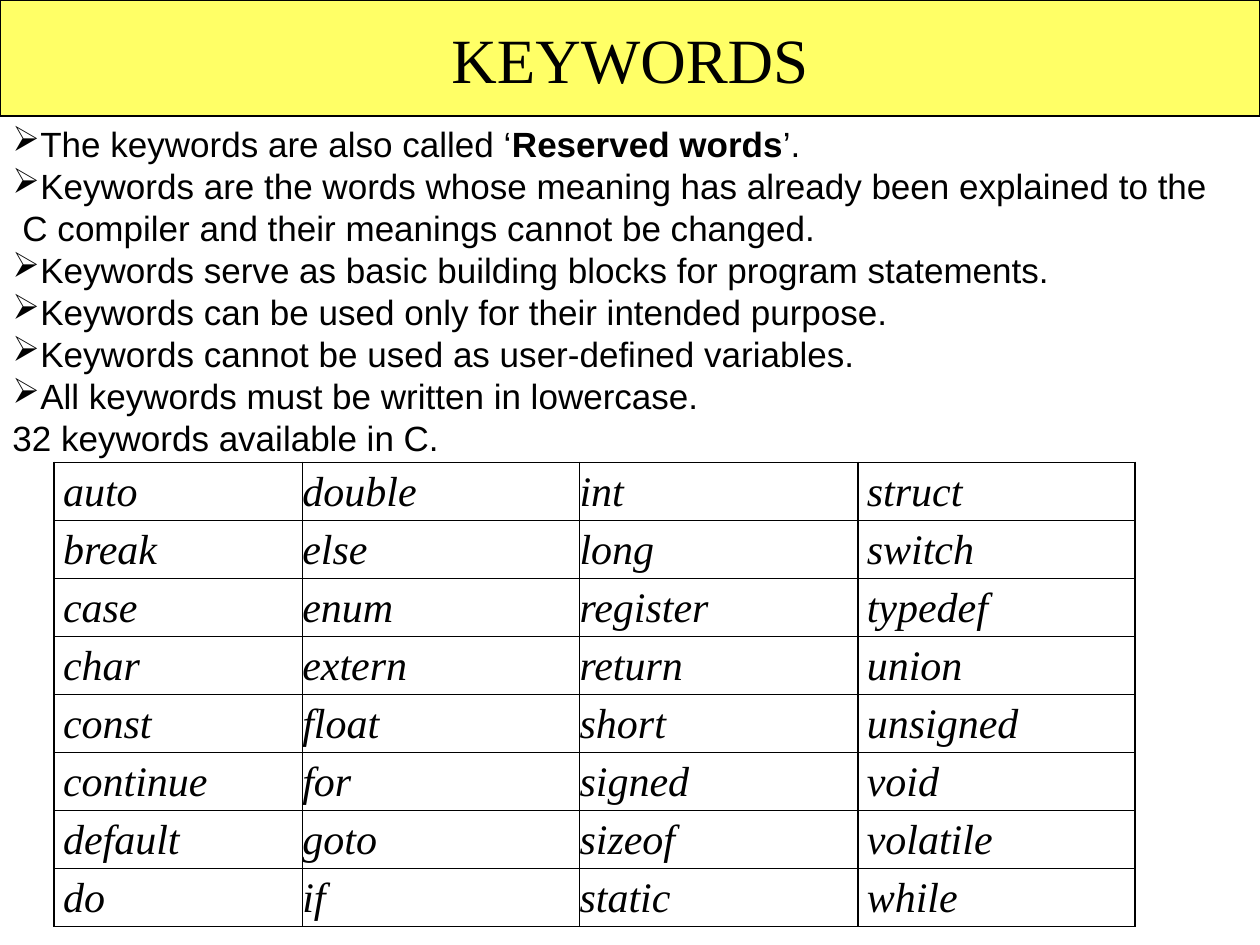
from lxml import etree
from pptx import Presentation
from pptx.dml.color import RGBColor
from pptx.enum.shapes import MSO_SHAPE
from pptx.enum.text import MSO_ANCHOR, MSO_AUTO_SIZE, PP_ALIGN
from pptx.oxml.ns import qn
from pptx.util import Inches, Pt

RECTANGLE = MSO_SHAPE.RECTANGLE
MIDDLE = MSO_ANCHOR.MIDDLE
FIT_SHAPE = MSO_AUTO_SIZE.SHAPE_TO_FIT_TEXT
CENTER = PP_ALIGN.CENTER
BLACK = RGBColor(0x00, 0x00, 0x00)
YELLOW = RGBColor(0xFF, 0xFF, 0x66)

TITLE_FORMAT = {"name": "Times New Roman", "size": Pt(36)}
BODY_FORMAT = {"name": "Arial", "size": Pt(20)}
CELL_FORMAT = {"name": "Times New Roman", "size": Pt(24), "italic": True}
NO_MARGINS = {f"margin_{side}": 0 for side in ("left", "right", "top", "bottom")}

BULLET = "➢"
STATEMENTS = [
    (BULLET, 0, ["The keywords are also called ‘", "Reserved words", "’."]),
    (BULLET, 0, ["Keywords are the words whose meaning has already been explained to the"]),
    (None, 0.08, ["C compiler and their meanings cannot be changed."]),
    (BULLET, 0, ["Keywords serve as basic building blocks for program statements."]),
    (BULLET, 0, ["Keywords can be used only for their intended purpose."]),
    (BULLET, 0, ["Keywords cannot be used as user-defined variables."]),
    (BULLET, 0, ["All keywords must be written in lowercase."]),
    (None, 0, ["32 keywords available in C."]),
]
KEYWORD_COLUMNS = [
    "auto break case char const continue default do".split(),
    "double else enum extern float for goto if".split(),
    "int long register return short signed sizeof static".split(),
    "struct switch typedef union unsigned void volatile while".split(),
]
COLUMN_WIDTHS = [1.97, 2.2, 2.21, 2.2]
COLUMN_INDENTS = [0.07, 0, 0, 0.07]


def apply_format(target, values):
    """Set every attribute in values on the target."""
    for name, value in values.items():
        setattr(target, name, value)


def add_span(para, text, values, bold=False):
    """Add a black run of text to a paragraph."""
    span = para.add_run()
    span.text = text
    apply_format(span.font, {**values, "bold": bold})
    span.font.color.rgb = BLACK


def set_indent(para, indent, bullet=None):
    """Set the left indent and the optional bullet of a paragraph."""
    properties = para._p.get_or_add_pPr()
    properties.set("marL", str(Inches(indent)))
    properties.set("indent", "0")
    if bullet:
        etree.SubElement(properties, qn("a:buChar"), char=bullet)
    else:
        etree.SubElement(properties, qn("a:buNone"))


def set_borders(cell):
    """Draw a thin black line on each side of a cell."""
    properties = cell._tc.get_or_add_tcPr()
    for side in ("lnL", "lnR", "lnT", "lnB"):
        line = etree.SubElement(properties, qn(f"a:{side}"), w=str(Pt(1)))
        fill = etree.SubElement(line, qn("a:solidFill"))
        etree.SubElement(fill, qn("a:srgbClr"), val=str(BLACK))


def add_title(page, left, top, width, height):
    """Add the yellow title band."""
    band = page.shapes.add_shape(RECTANGLE, left, top, width, height)
    band.shadow.inherit = False
    band.fill.solid()
    band.fill.fore_color.rgb = YELLOW
    band.line.color.rgb = BLACK
    band.line.width = Pt(0.75)
    apply_format(band.text_frame, {"word_wrap": False, "vertical_anchor": MIDDLE})
    para = band.text_frame.paragraphs[0]
    para.alignment = CENTER
    add_span(para, "KEYWORDS", TITLE_FORMAT)


def add_statements(page, left, top, width, height):
    """Add the list of statements about keywords."""
    box = page.shapes.add_textbox(left, top, width, height)
    frame = box.text_frame
    apply_format(frame, {"word_wrap": True, "auto_size": FIT_SHAPE})
    for index, (bullet, indent, parts) in enumerate(STATEMENTS):
        para = frame.add_paragraph() if index else frame.paragraphs[0]
        set_indent(para, indent, bullet)
        for position, text in enumerate(parts):
            add_span(para, text, BODY_FORMAT, bold=position == 1)


def add_keyword_table(page, left, top, width, height):
    """Add the table of keywords, filled column by column."""
    rows = len(KEYWORD_COLUMNS[0])
    table = page.shapes.add_table(
        rows, len(KEYWORD_COLUMNS), left, top, width, height).table
    apply_format(table, {"first_row": False, "horz_banding": False})
    for row in table.rows:
        row.height = Inches(0.38)
    for column, keywords in enumerate(KEYWORD_COLUMNS):
        table.columns[column].width = Inches(COLUMN_WIDTHS[column])
        for row, keyword in enumerate(keywords):
            cell = table.cell(row, column)
            apply_format(cell, NO_MARGINS)
            set_borders(cell)
            cell.fill.background()
            para = cell.text_frame.paragraphs[0]
            set_indent(para, COLUMN_INDENTS[column])
            para.line_spacing = 1.15
            add_span(para, keyword, CELL_FORMAT)


def main():
    """Build the deck and save it."""
    deck = Presentation()
    deck.slide_width, deck.slide_height = Inches(10), Inches(7.5)
    page = deck.slides.add_slide(deck.slide_layouts[6])
    add_title(page, 0, 0, deck.slide_width, Inches(0.92))
    add_statements(page, 0, Inches(0.92), Inches(9.72), Inches(3.4))
    add_keyword_table(page, Inches(0.43), Inches(3.67), Inches(8.58), Inches(3.04))
    deck.save("out.pptx")


if __name__ == "__main__":
    main()
